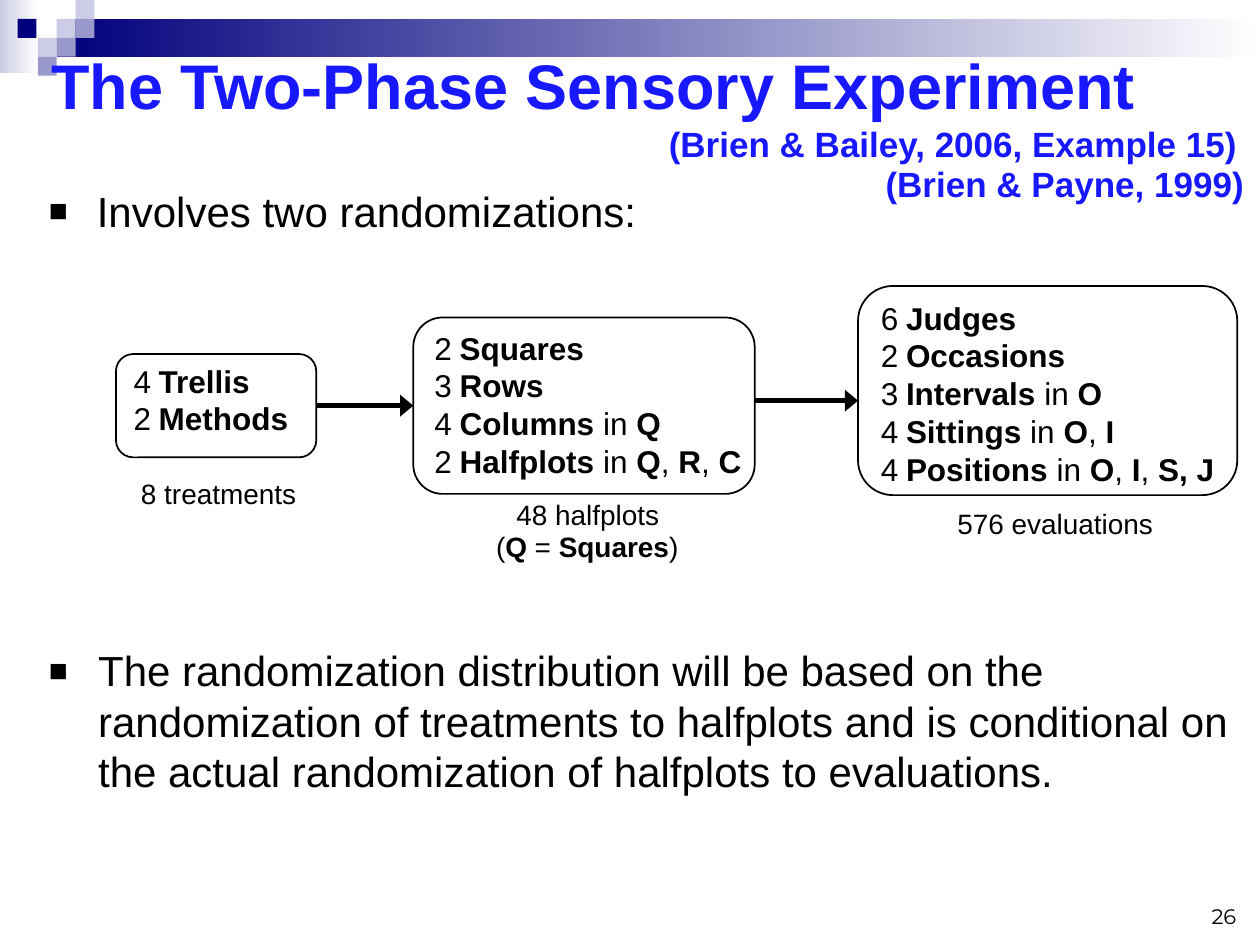
from lxml.etree import SubElement
from pptx import Presentation
from pptx.dml.color import RGBColor
from pptx.enum.shapes import MSO_CONNECTOR, MSO_SHAPE
from pptx.enum.text import MSO_ANCHOR, PP_ALIGN
from pptx.oxml.ns import qn
from pptx.util import Inches, Pt

# The slide is a grid of 100 columns by 75 rows, each cell 0.1 inch square
CELL = Inches(0.1)
COLS, ROWS = 100, 75
BLACK, BLUE, NAVY = "000000", "1818FF", "00007D"
PALE, MID, WHITE = "CCCCE6", "9999CC", "FFFFFF"


def color(code):
    return RGBColor.from_string(code)


def grid(*cells):
    return [round(c * CELL) for c in cells]


def write(par, text, size, tint=BLACK, bold=False, font="Arial"):
    """Add runs to a paragraph; parts between asterisks are bold."""
    for i, part in enumerate(text.split("*")):
        if part:
            run = par.add_run()
            run.text = part
            run.font.size, run.font.name = Pt(size), font
            run.font.bold = bold or i % 2 == 1
            run.font.color.rgb = color(tint)


def indent(par, left, first):
    props = par._p.get_or_add_pPr()
    props.set("marL", str(round(left * CELL)))
    props.set("indent", str(round(first * CELL)))
    return props


def label(slide, box, text="", size=16, align=PP_ALIGN.LEFT,
          anchor=MSO_ANCHOR.TOP, **look):
    frame = slide.shapes.add_textbox(*grid(*box)).text_frame
    frame.word_wrap, frame.vertical_anchor = True, anchor
    par = frame.paragraphs[0]
    par.alignment = align
    write(par, text, size, **look)
    return par


def block(slide, box, start, end=None):
    shape = slide.shapes.add_shape(MSO_SHAPE.RECTANGLE, *grid(*box))
    shape.shadow.inherit = False
    shape.line.fill.background()
    if end is None:
        shape.fill.solid()
        shape.fill.fore_color.rgb = color(start)
        return
    shape.fill.gradient()
    shape.fill.gradient_angle = 0
    for stop, code, place in zip(shape.fill.gradient_stops, (start, end), (0, 1)):
        stop.color.rgb, stop.position = color(code), place


def banner(slide, left, top):
    block(slide, (left, top, 3.1, 5.8), PALE, WHITE)
    block(slide, (left + 4.5, top + 1.5, COLS - 4.5, 3), NAVY, WHITE)
    # Small squares, by column and row of a 1.5-cell lattice
    side = 1.5
    for col, row, tint in ((3, 1, PALE), (4, 0, PALE), (4, 1, MID), (2, 2, PALE),
                           (0.93, 1, NAVY), (3, 2, MID), (2, 3, MID)):
        block(slide, (left + col * side, top + row * side, side, side), tint)


def heading(slide, box):
    par = label(slide, box, "The Two-Phase Sensory Experiment ", 36,
                anchor=MSO_ANCHOR.MIDDLE, tint=BLUE, bold=True)
    indent(par, 49, -49)
    par.add_line_break()
    write(par, "(Brien & Bailey, 2006, Example 15)", 20, BLUE, True)


def bullet(slide, box, text, hang, space=None):
    par = label(slide, box, text, 24)
    if space:
        par.line_spacing = space
    props = indent(par, hang, -hang)
    SubElement(SubElement(props, qn("a:buClr")), qn("a:srgbClr"), val=BLACK)
    SubElement(props, qn("a:buSzPct"), val="75000")
    SubElement(props, qn("a:buFont"), typeface="Arial")
    SubElement(props, qn("a:buChar"), char="■")


def panel(slide, box, lines):
    shape = slide.shapes.add_shape(MSO_SHAPE.ROUNDED_RECTANGLE, *grid(*box))
    shape.shadow.inherit = False
    shape.fill.background()
    shape.line.color.rgb, shape.line.width = color(BLACK), Pt(1)
    frame = shape.text_frame
    frame.word_wrap, frame.vertical_anchor = True, MSO_ANCHOR.TOP
    frame.margin_left, frame.margin_right = Inches(0.01), 0
    frame.margin_top = frame.margin_bottom = Inches(0.02)
    for i, (count, name) in enumerate(lines):
        par = frame.add_paragraph() if i else frame.paragraphs[0]
        par.alignment = PP_ALIGN.LEFT
        indent(par, 2.9, -2)
        write(par, f"{count}\t{name}", 18)
    return shape


def arrow(slide, left, right, row):
    line = slide.shapes.add_connector(MSO_CONNECTOR.STRAIGHT,
                                      *grid(left, row, right, row))
    line.line.color.rgb, line.line.width = color(BLACK), Pt(2.5)
    SubElement(line.line._get_or_add_ln(), qn("a:tailEnd"),
               type="triangle", w="lg", len="med")
    SubElement(line._element.spPr, qn("a:effectLst"))
    return line


def diagram(slide, left, top):
    """Three tiers of factors, linked by two randomizations."""
    tiers = (
        ((0, 5.4, 15.9, 8.2), ((4, "*Trellis*"), (2, "*Methods*"))),
        ((23.6, 2.5, 27.1, 14),
         ((2, "*Squares*"), (3, "*Rows*"), (4, "*Columns* in *Q*"),
          (2, "*Halfplots* in *Q*, *R*, *C*"))),
        ((58.9, 0, 30.1, 16.6),
         ((6, "*Judges*"), (2, "*Occasions*"), (3, "*Intervals* in *O*"),
          (4, "*Sittings* in *O*, *I*"),
          (4, "*Positions* in *O*, *I*, *S, J*"))),
    )
    panels = [panel(slide, (left + x, top + y, w, h), lines)
              for (x, y, w, h), lines in tiers]
    first = arrow(slide, left + 15.9, left + 23.6, top + 9.5)
    first.begin_connect(panels[0], 3)
    first.end_connect(panels[1], 1)
    arrow(slide, left + 50.7, left + 58.9, top + 9.1)
    # Captions under the tiers
    for x, y, w, text in ((-0.1, 14.6, 16.5, "8 treatments"),
                          (29.2, 16.3, 16.5, "48 halfplots"),
                          (27.8, 18.8, 19.2, "(*Q* = *Squares*)"),
                          (64.4, 17, 20.3, "576 evaluations")):
        label(slide, (left + x, top + y, w, 3.7), text, align=PP_ALIGN.CENTER)


def main():
    deck = Presentation()
    deck.slide_width, deck.slide_height = grid(COLS, ROWS)
    slide = deck.slides.add_slide(deck.slide_layouts[6])
    banner(slide, 0, 0)
    heading(slide, (3.1, 3.9, 97, 8.9))
    label(slide, (69.3, 12.4, 32.4, 4.4), "(Brien & Payne, 1999)", 20,
          tint=BLUE, bold=True)
    bullet(slide, (2.9, 15, 96.9, 4.8), "Involves two randomizations:", 3.8, 0.8)
    diagram(slide, 9.2, 22.7)
    bullet(slide, (2.9, 50.7, 96.9, 20.6),
           "The randomization distribution will be based on the randomization of "
           "treatments to halfplots and is conditional on the actual "
           "randomization of halfplots to evaluations.", 3.9)
    # Slide number
    label(slide, (75.8, 69.2, 23.3, 5), "26", 12, PP_ALIGN.RIGHT,
          MSO_ANCHOR.BOTTOM, font="Montserrat")
    deck.save("out.pptx")


if __name__ == "__main__":
    main()
